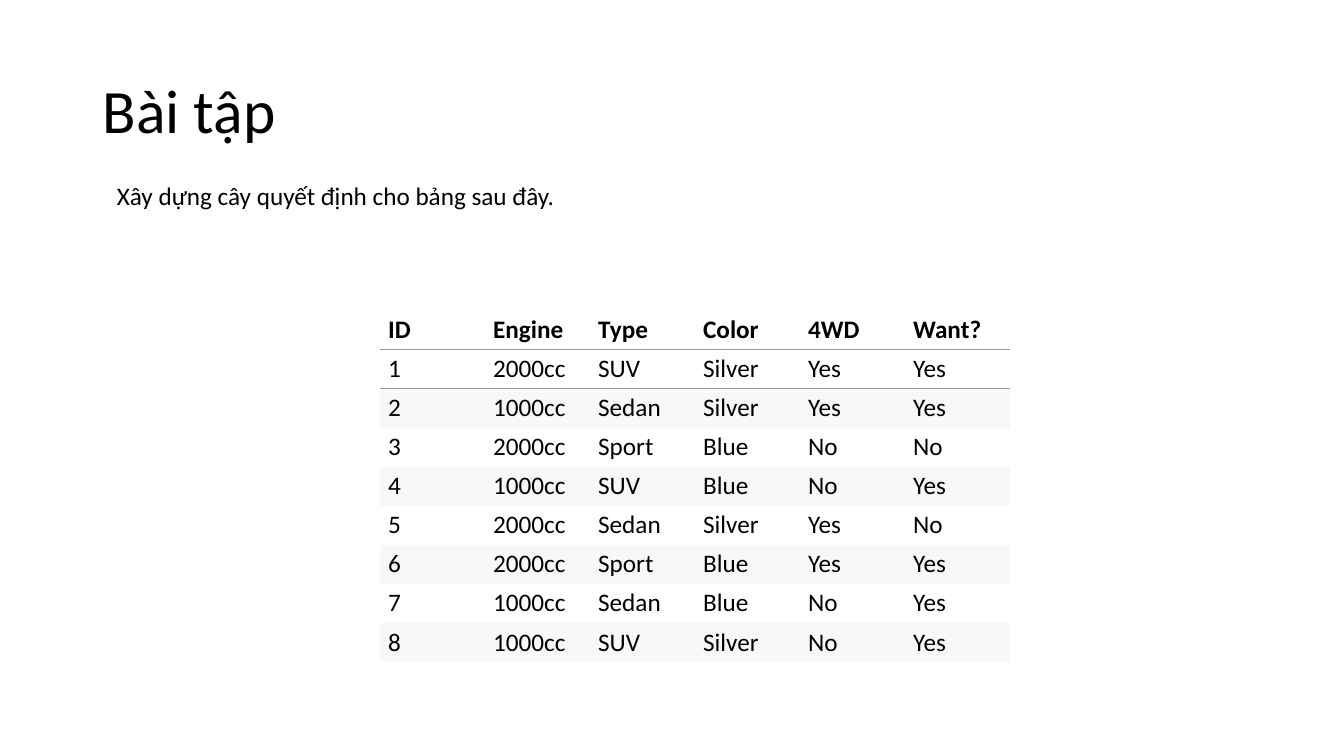
from lxml import etree
from pptx import Presentation
from pptx.dml.color import RGBColor
from pptx.enum.text import MSO_ANCHOR, MSO_AUTO_SIZE, PP_ALIGN
from pptx.oxml.ns import qn
from pptx.util import Inches, Pt

MIDDLE = MSO_ANCHOR.MIDDLE
LEFT = PP_ALIGN.LEFT
GROW = MSO_AUTO_SIZE.SHAPE_TO_FIT_TEXT

TITLE = "Bài tập"
TASK = "Xây dựng cây quyết định cho bảng sau đây."
CARS = [
    ("ID", "Engine", "Type", "Color", "4WD", "Want?"),
    ("1", "2000cc", "SUV", "Silver", "Yes", "Yes"),
    ("2", "1000cc", "Sedan", "Silver", "Yes", "Yes"),
    ("3", "2000cc", "Sport", "Blue", "No", "No"),
    ("4", "1000cc", "SUV", "Blue", "No", "Yes"),
    ("5", "2000cc", "Sedan", "Silver", "Yes", "No"),
    ("6", "2000cc", "Sport", "Blue", "Yes", "Yes"),
    ("7", "1000cc", "Sedan", "Blue", "No", "Yes"),
    ("8", "1000cc", "SUV", "Silver", "No", "Yes"),
]

FONT = "Calibri"
BLACK, WHITE, BAND, RULE = "000000", "FFFFFF", "F7F8F8", "909BA2"
RULE_WIDTH = Pt(1.2)
PLAIN_TABLE_STYLE = "{2D5ABB26-0587-4C30-8999-92F81FD0307C}"


def color(hex_code):
    return RGBColor.from_string(hex_code)


def write(frame, text, size, bold=False):
    paragraph = frame.paragraphs[0]
    paragraph.alignment = LEFT
    run = paragraph.add_run()
    run.text = text
    run.font.name = FONT
    run.font.size = Pt(size)
    run.font.bold = bold
    run.font.color.rgb = color(BLACK)
    return paragraph


def add_border(cell, side):
    """Draw the header rule on one side of a cell: lnT or lnB."""
    line = etree.Element(qn("a:" + side), w=str(RULE_WIDTH))
    fill = etree.SubElement(line, qn("a:solidFill"))
    etree.SubElement(fill, qn("a:srgbClr"), val=RULE)
    cell._tc.get_or_add_tcPr().insert(0, line)


def add_title(slide):
    title = slide.shapes.title
    title.left, title.top = Inches(0.92), Inches(0.4)
    title.width, title.height = Inches(11.5), Inches(1.45)
    title.text_frame.vertical_anchor = MIDDLE
    write(title.text_frame, TITLE, 44).line_spacing = 0.9


def add_car_table(slide):
    graphic = slide.shapes.add_table(
        len(CARS), len(CARS[0]),
        Inches(3.77), Inches(3.08), Inches(6.25), Inches(3.49))
    graphic.element.find(".//" + qn("a:tableStyleId")).text = PLAIN_TABLE_STYLE
    for row, values in enumerate(CARS):
        banded = row > 0 and row % 2 == 0
        for column, value in enumerate(values):
            cell = graphic.table.cell(row, column)
            cell.vertical_anchor = MIDDLE
            cell.margin_left = cell.margin_right = Inches(0.08)
            cell.margin_top = cell.margin_bottom = Inches(0.04)
            cell.fill.solid()
            cell.fill.fore_color.rgb = color(BAND if banded else WHITE)
            write(cell.text_frame, value, 18, bold=row == 0)
            if row < 2:
                add_border(cell, "lnT" if row else "lnB")


def add_task(slide):
    task = slide.shapes.add_textbox(
        Inches(1.06), Inches(1.74), Inches(9.38), Inches(0.4))
    task.text_frame.word_wrap = True
    task.text_frame.auto_size = GROW
    write(task.text_frame, TASK, 18)


def main():
    deck = Presentation()
    deck.slide_width, deck.slide_height = Inches(13.33), Inches(7.5)
    slide = deck.slides.add_slide(deck.slide_layouts[5])
    add_title(slide)
    add_car_table(slide)
    add_task(slide)
    deck.save("out.pptx")


if __name__ == "__main__":
    main()
